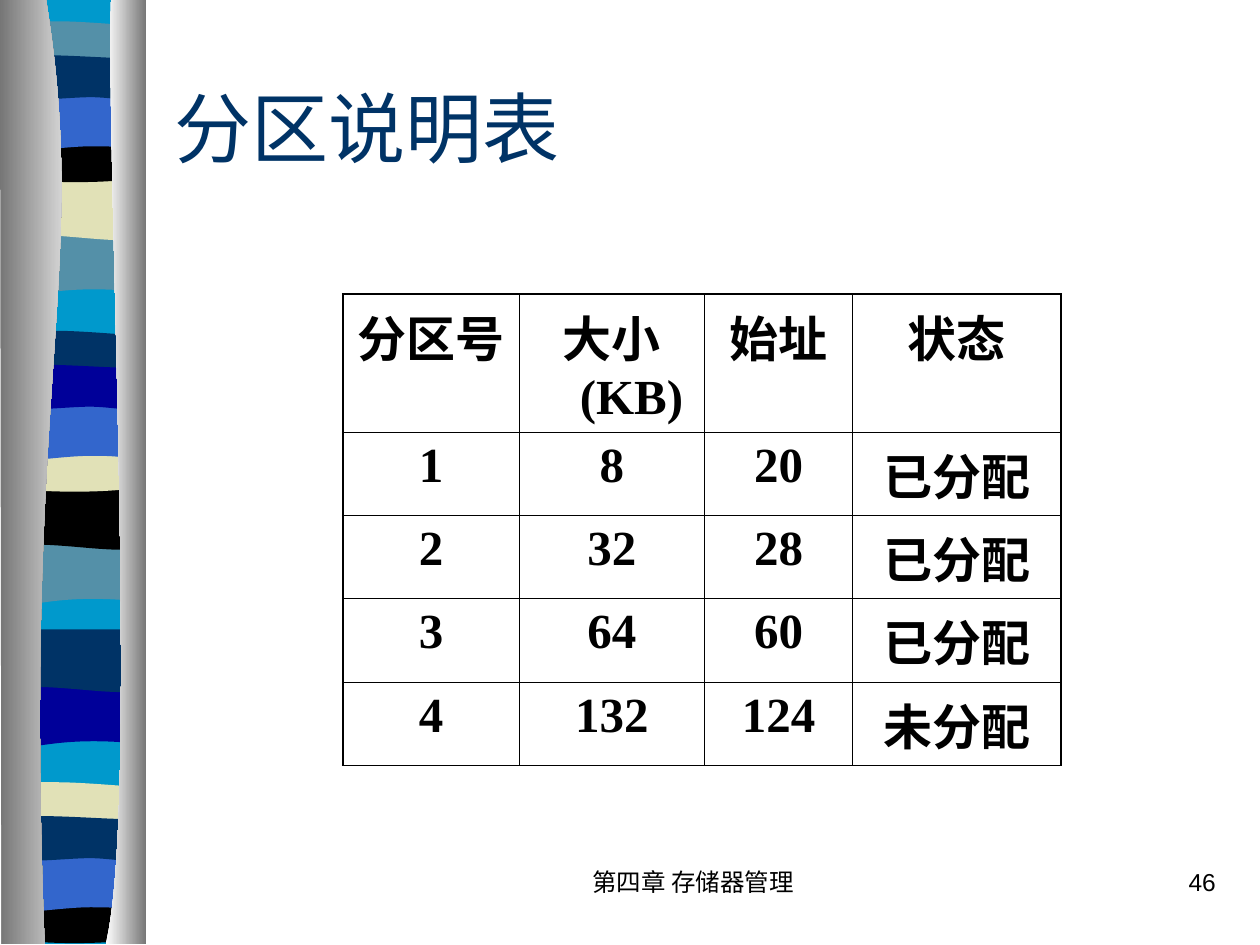
from dataclasses import dataclass

from lxml.etree import SubElement
from pptx import Presentation
from pptx.dml.color import RGBColor
from pptx.enum.text import MSO_ANCHOR, PP_ALIGN
from pptx.oxml.ns import qn
from pptx.util import Cm, Pt


@dataclass(frozen=True)
class Theme:
    sky: str = "0099CC"
    slate: str = "5490A8"
    cream: str = "E1E1B7"
    navy: str = "003366"
    blue: str = "3366CC"
    indigo: str = "000099"
    black: str = "000000"
    white: str = "FFFFFF"
    grey: str = "767676"
    cjk_font: str = "Noto Sans CJK SC"
    table_font: str = "Times New Roman"
    footer_font: str = "Arial"
    title_size: int = 44
    table_size: int = 28
    footer_size: int = 14
    outer_line: float = 1.08
    inner_line: float = 0.45


THEME = Theme()
RIBBON_WIDTH = 2.74

# Each wave: (lower edge from right to left, upper edge from left to right), in cm.
# Two points make a straight edge; 3n + 1 points make n Bezier curves.
WAVES = {
    "dip": ([(2.74, 5.89), (0.84, 5.69), (0.46, 6.1), (0, 5.89)],
            [(0, 4.7), (2.74, 4.7)]),
    "swell": ([(2.74, 4.78), (2.29, 4.98), (0.84, 4.62), (0, 4.78)],
              [(0, 3.58), (2.74, 3.58)]),
    "crest": ([(2.74, 1.14), (2.29, 1.24), (0.46, 1.24), (0, 1.14)],
              [(0, 0.53), (0.15, 0.41), (0.58, 0.43), (1.04, 0.43),
               (1.5, 0.43), (2.39, 0.51), (2.74, 0.53)]),
    "bowl": ([(2.74, 3.56), (2.29, 3.71), (0.46, 3.71), (0, 3.56)],
             [(0, 2.74), (1.68, 2.87), (2.16, 2.74), (2.74, 2.74)]),
    "arch": ([(2.74, 3.07), (2.31, 2.95), (2.13, 2.95), (1.68, 2.95),
              (1.22, 2.95), (0.41, 3.07), (0, 3.07)],
             [(0, 1.88), (2.74, 1.88)]),
    "ripple": ([(2.74, 1.96), (2.57, 2.08), (2.13, 1.96), (1.68, 1.96),
                (1.22, 1.96), (0.28, 2.08), (0, 1.96)],
               [(0, 1.17), (0.38, 1.04), (1.85, 1.17), (2.31, 1.17),
                (2.77, 1.17), (2.64, 1.17), (2.74, 1.17)]),
}

# Each repeat: left, top, colour of every wave it holds, from back to front.
REPEATS = [
    (0.15, 0, dict(dip=THEME.slate, swell=THEME.cream, crest=THEME.slate,
                   bowl=THEME.black, arch=THEME.blue, ripple=THEME.navy)),
    (0.13, 6.24, dict(dip=THEME.slate, swell=THEME.black, crest=THEME.navy,
                      bowl=THEME.cream, arch=THEME.blue, ripple=THEME.indigo)),
    (0.15, 9.11, dict(dip=THEME.indigo, swell=THEME.navy)),
    (0.13, 15.34, dict(crest=THEME.cream, bowl=THEME.black,
                       arch=THEME.blue, ripple=THEME.navy)),
]

PARTITIONS = [
    ("分区号", "大小(KB)", "始址", "状态"),
    ("1", "8", "20", "已分配"),
    ("2", "32", "28", "已分配"),
    ("3", "64", "60", "已分配"),
    ("4", "132", "124", "未分配"),
]


def rgb(colour):
    return RGBColor.from_string(colour)


def bend_edges(shape, edges):
    """Join the line segments of each curved edge, three by three, into Bezier curves."""
    segments = list(shape._element.iter(qn("a:lnTo")))
    position = -1  # the first point of the first edge is the moveTo
    for edge in edges:
        position += 1  # skip the segment that leads to the start of the edge
        if len(edge) > 2:
            for first in range(position, position + len(edge) - 1, 3):
                curve = segments[first].makeelement(qn("a:cubicBezTo"), {})
                segments[first].addprevious(curve)
                for segment in segments[first:first + 3]:
                    curve.append(segment[0])
                    segment.getparent().remove(segment)
        position += len(edge) - 1


def add_outline(slide, left, top, edges):
    """Draw a closed lineless shape from edges in cm relative to left and top."""
    points = [(Cm(left + x), Cm(top + y)) for edge in edges for x, y in edge]
    builder = slide.shapes.build_freeform(*points[0])
    builder.add_line_segments(points[1:], close=True)
    shape = builder.convert_to_shape()
    bend_edges(shape, edges)
    shape.shadow.inherit = False
    shape.line.fill.background()
    return shape


def fill_solid(shape, colour):
    shape.fill.solid()
    shape.fill.fore_color.rgb = rgb(colour)


def add_pillar(slide, left, top, edges, colours):
    fill = add_outline(slide, left, top, edges).fill
    fill.gradient()
    fill.gradient_angle = 0
    for stop, colour in zip(fill.gradient_stops, colours):
        stop.color.rgb = rgb(colour)


def add_ribbon(slide, left, top, height):
    """Draw the striped ribbon between its two shaded pillars."""
    base = [[(0, 0), (RIBBON_WIDTH, 0)], [(RIBBON_WIDTH, height), (0, height)]]
    fill_solid(add_outline(slide, left + 0.15, top, base), THEME.sky)
    for offset_x, offset_y, colours in REPEATS:
        for wave, colour in colours.items():
            shape = add_outline(slide, left + offset_x, top + offset_y, WAVES[wave])
            fill_solid(shape, colour)
    left_edge = [(0.93, 0), (1.82, 5.51), (0.45, 7.54), (0.9, height)]
    add_pillar(slide, left, top, [left_edge, [(0.03, height), (0, 0)]],
               (THEME.grey, THEME.white))
    right_edge = [(2.24, 0), (2.13, 3.18), (2.82, 16.41), (2.13, height)]
    add_pillar(slide, left, top, [right_edge, [(2.95, height), (2.95, 0)]],
               (THEME.white, THEME.grey))


def format_paragraph(paragraph, font_name, size, colour, align, bold=False):
    paragraph.alignment = align
    for run in paragraph.runs:
        font = run.font
        font.name, font.size, font.bold = font_name, Pt(size), bold
        font.color.rgb = rgb(colour)
        SubElement(font._element, qn("a:ea"), typeface=THEME.cjk_font)


def add_text(slide, box, text, font_name, size, colour,
             align=PP_ALIGN.LEFT, anchor=MSO_ANCHOR.TOP):
    frame = slide.shapes.add_textbox(*map(Cm, box)).text_frame
    frame.word_wrap = True
    frame.vertical_anchor = anchor
    frame.text = text
    format_paragraph(frame.paragraphs[0], font_name, size, colour, align)


def set_borders(cell, widths):
    """Draw the borders from a mapping of side (L, R, T, B) to points."""
    properties = cell._tc.get_or_add_tcPr()
    for index, (side, width) in enumerate(widths.items()):
        line = properties.makeelement(qn(f"a:ln{side}"), {"w": str(Pt(width))})
        solid = SubElement(line, qn("a:solidFill"))
        SubElement(solid, qn("a:srgbClr"), val=THEME.black)
        properties.insert(index, line)


def add_partition_table(slide, left, top, widths, heights):
    box = map(Cm, (left, top, sum(widths), sum(heights)))
    table = slide.shapes.add_table(len(heights), len(widths), *box).table
    table.first_row = table.horz_banding = False
    for column, width in zip(table.columns, widths):
        column.width = Cm(width)
    for row, height in zip(table.rows, heights):
        row.height = Cm(height)
    last_row, last_column = len(heights) - 1, len(widths) - 1
    for r, values in enumerate(PARTITIONS):
        for c, value in enumerate(values):
            cell = table.cell(r, c)
            cell.fill.background()
            outer = {"L": c == 0, "R": c == last_column, "T": r == 0, "B": r == last_row}
            set_borders(cell, {side: THEME.outer_line if is_outer else THEME.inner_line
                               for side, is_outer in outer.items()})
            cell.text_frame.text = value
            paragraph = cell.text_frame.paragraphs[0]
            properties = paragraph._p.get_or_add_pPr()
            properties.set("marL", str(Cm(0.79)))
            properties.set("indent", str(Cm(-0.79)))
            format_paragraph(paragraph, THEME.table_font, THEME.table_size,
                             THEME.black, PP_ALIGN.CENTER, bold=True)


def add_footer(slide, top, height):
    style = (THEME.footer_font, THEME.footer_size, THEME.black)
    add_text(slide, (9.95, top, 8.05, height), "第四章 存储器管理", *style, PP_ALIGN.CENTER)
    add_text(slide, (19.48, top, 5.28, height), "46", *style, PP_ALIGN.RIGHT)


def main():
    presentation = Presentation()
    presentation.slide_width, presentation.slide_height = Cm(25.4), Cm(19.05)
    slide = presentation.slides.add_slide(presentation.slide_layouts[6])
    add_ribbon(slide, 0, 0, 19.03)
    add_text(slide, (3.26, 1.27, 21.59, 2.57), "分区说明表", THEME.cjk_font,
             THEME.title_size, THEME.navy, anchor=MSO_ANCHOR.MIDDLE)
    add_partition_table(slide, 6.91, 5.93, (3.56, 3.73, 2.99, 4.2), [2.78] + [1.68] * 4)
    add_footer(slide, 17.35, 1.27)
    presentation.save("out.pptx")


if __name__ == "__main__":
    main()
